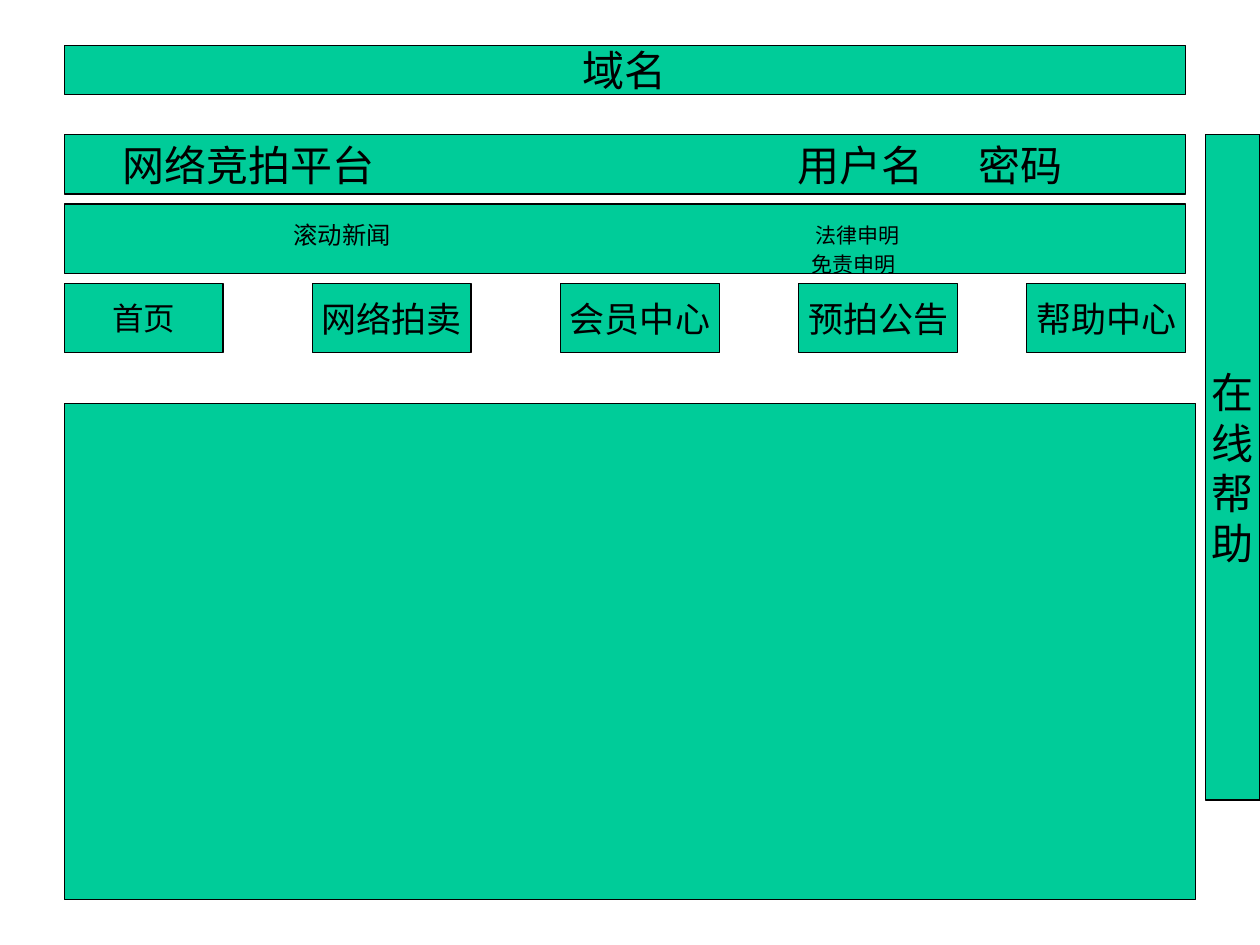
from lxml.etree import SubElement
from pptx import Presentation
from pptx.dml.color import RGBColor
from pptx.enum.shapes import MSO_SHAPE
from pptx.enum.text import MSO_ANCHOR, PP_ALIGN
from pptx.oxml.ns import qn
from pptx.util import Inches, Pt


def color(code):
    return RGBColor.from_string(code)


class Page:
    font = "Times New Roman"
    ink = "000000"
    green = "00CC99"

    def __init__(self, deck):
        self.slide = deck.slides.add_slide(deck.slide_layouts[6])

    def box(self, left, top, width, height, text="", size=24):
        """Green panel with centred text."""
        shape = self.slide.shapes.add_shape(
            MSO_SHAPE.RECTANGLE, Inches(left), Inches(top), Inches(width), Inches(height))
        shape.shadow.inherit = False
        shape.fill.solid()
        shape.fill.fore_color.rgb = color(self.green)
        shape.line.color.rgb = color(self.ink)
        shape.line.width = Pt(0.75)
        frame = shape.text_frame
        frame.vertical_anchor = MSO_ANCHOR.MIDDLE
        frame.word_wrap = False
        frame.text = text
        for para in frame.paragraphs:
            para.alignment = PP_ALIGN.CENTER
            for run in para.runs:
                self.style(run, size)
        return frame

    def style(self, run, size):
        run.font.name = self.font
        run.font.size = Pt(size)
        run.font.color.rgb = color(self.ink)

    def tabs(self, frame, indent, *rows):
        """Left-align a panel's text, with tab stops for each paragraph."""
        frame.word_wrap = True
        frame.margin_left = Inches(indent)
        for para, stops in zip(frame.paragraphs, rows):
            para.alignment = PP_ALIGN.LEFT
            tab_list = SubElement(para._p.get_or_add_pPr(), qn("a:tabLst"))
            for stop in stops:
                SubElement(tab_list, qn("a:tab"), pos=str(Inches(stop)), algn="l")


def main():
    deck = Presentation()
    deck.slide_width, deck.slide_height = Inches(10), Inches(7.5)
    page = Page(deck)
    left, wide = 0.51, 8.9

    # Domain and login bars
    page.box(left, 0.36, wide, 0.39, "域名")
    login = page.box(left, 1.07, wide, 0.47, "网络竞拍平台\t用户名\t密码")
    page.tabs(login, 0.46, [5.36, 6.8])

    # News bar: lowered headline, then two small notices
    news = page.box(left, 1.62, wide, 0.55, "滚动新闻\n\t免责申明", 12)
    page.tabs(news, 1.82, [4.14], [4.11])
    head = news.paragraphs[0]
    head.runs[0].font.size = Pt(24)
    head.runs[0]._r.get_or_add_rPr().set("baseline", "-4000")
    notice = head.add_run()
    notice.text = "\t法律申明"
    page.style(notice, 12)

    # Menu buttons
    menu = [(left, "首页", 18), (2.48, "网络拍卖", 20), (4.45, "会员中心", 20),
            (6.34, "预拍公告", 20), (8.15, "帮助中心", 20)]
    for x, label, size in menu:
        page.box(x, 2.25, 1.26, 0.55, label, size)

    # Content area and side help bar
    page.box(left, 3.2, 8.98, 3.94)
    page.box(9.57, 1.07, 0.43, 5.28, "\n".join("在线帮助"))

    deck.save("out.pptx")


if __name__ == "__main__":
    main()
